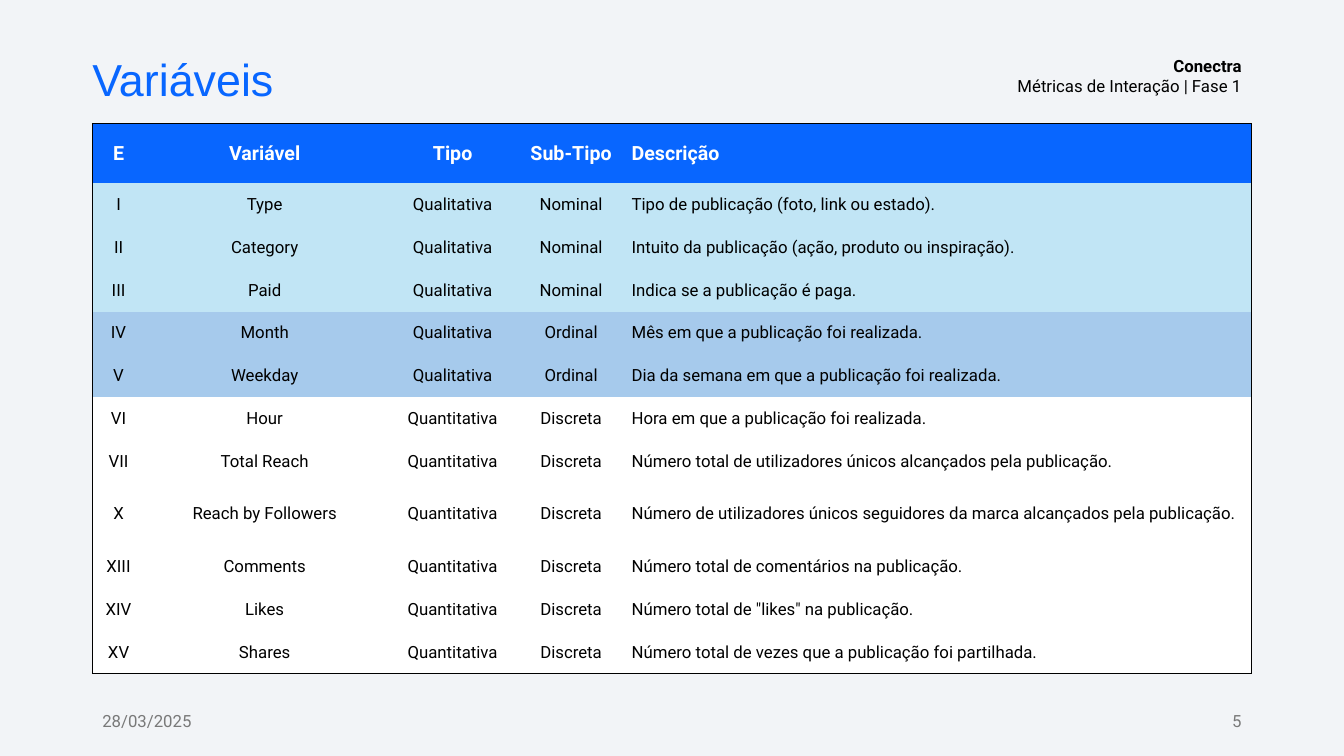
from lxml.etree import SubElement
from pptx import Presentation
from pptx.dml.color import RGBColor
from pptx.enum.text import MSO_ANCHOR as Anchor, PP_ALIGN as Align
from pptx.oxml import parse_xml
from pptx.oxml.ns import nsdecls, qn
from pptx.util import Pt

BLUE, BLACK, WHITE, GREY = "0866FF", "000000", "FFFFFF", "797979"
SKY, STEEL, PAPER = "C1E5F5", "A6CAEC", "F2F4F7"
LEFT, WIDTH = 66, 828


def color(code):
    return RGBColor.from_string(code)


class Page:
    font = "Roboto"

    def __init__(self, deck):
        self.slide = deck.slides.add_slide(deck.slide_layouts[5])
        self.slide.background.fill.solid()
        self.slide.background.fill.fore_color.rgb = color(PAPER)

    def run(self, para, text, size, ink, bold=False, font=None):
        run = para.add_run()
        run.text = text
        run.font.name = font or self.font
        run.font.size = Pt(size)
        run.font.bold = bold
        run.font.color.rgb = color(ink)

    def title(self, text, box):
        shape = self.slide.shapes.title
        shape.left, shape.top, shape.width, shape.height = map(Pt, box)
        frame = shape.text_frame
        frame.word_wrap = True
        frame.vertical_anchor = Anchor.MIDDLE
        frame.margin_left = frame.margin_right = frame.margin_bottom = 0
        para = frame.paragraphs[0]
        para.alignment = Align.LEFT
        self.run(para, text, 32, BLUE, font="Arial")

    def text(self, lines, box, ink, align=Align.LEFT):
        frame = self.slide.shapes.add_textbox(*map(Pt, box)).text_frame
        frame.word_wrap = True
        frame.vertical_anchor = Anchor.MIDDLE
        for i, (line, bold) in enumerate(lines):
            para = frame.add_paragraph() if i else frame.paragraphs[0]
            para.alignment = align
            self.run(para, line, 12, ink, bold)

    def border(self, cell, sides):
        props = cell._tc.get_or_add_tcPr()
        for i, side in enumerate("LRTB"):
            line = parse_xml(f'<a:ln{side} {nsdecls("a")} w="9525"/>')
            if side in sides:
                fill = SubElement(line, qn("a:solidFill"))
                SubElement(fill, qn("a:srgbClr"), val=BLACK)
            else:
                SubElement(line, qn("a:noFill"))
            props.insert(i, line)

    def cell(self, cell, text, fill, head, last):
        cell.fill.solid()
        cell.fill.fore_color.rgb = color(fill)
        cell.vertical_anchor = Anchor.MIDDLE
        para = cell.text_frame.paragraphs[0]
        if not last:
            cell.margin_left = cell.margin_right = Pt(5)
            cell.margin_top = cell.margin_bottom = 0
            para.alignment = Align.CENTER
            para.space_before = para.space_after = Pt(3)
        size, ink = (14, WHITE) if head else (12, BLACK)
        self.run(para, text, size, ink, head)

    def table(self, rows, fills, wide, high, left, top):
        end, foot = len(wide) - 1, len(high) - 1
        grid = self.slide.shapes.add_table(
            len(high), len(wide), Pt(left), Pt(top),
            Pt(sum(wide)), Pt(sum(high))).table
        for col, size in zip(grid.columns, wide):
            col.width = Pt(size)
        for r, (row, fill) in enumerate(zip(rows, fills)):
            grid.rows[r].height = Pt(high[r])
            for c, text in enumerate(row):
                cell = grid.cell(r, c)
                self.cell(cell, text, fill, r == 0, c == end)
                edges = {"L": c == 0, "R": c == end,
                         "T": r == 0, "B": r == foot}
                self.border(cell, [s for s in edges if edges[s]])


# Table content
HEAD = ("E", "Variável", "Tipo", "Sub-Tipo", "Descrição")
GROUPS = [
    ("Qualitativa", "Nominal", SKY, [
        ("I", "Type", "Tipo de publicação (foto, link ou estado)."),
        ("II", "Category",
         "Intuito da publicação (ação, produto ou inspiração)."),
        ("III", "Paid", "Indica se a publicação é paga."),
    ]),
    ("Qualitativa", "Ordinal", STEEL, [
        ("IV", "Month", "Mês em que a publicação foi realizada."),
        ("V", "Weekday", "Dia da semana em que a publicação foi realizada."),
    ]),
    ("Quantitativa", "Discreta", WHITE, [
        ("VI", "Hour", "Hora em que a publicação foi realizada."),
        ("VII", "Total Reach",
         "Número total de utilizadores únicos alcançados pela publicação."),
        ("X", "Reach by Followers",
         "Número de utilizadores únicos seguidores da marca "
         "alcançados pela publicação."),
        ("XIII", "Comments", "Número total de comentários na publicação."),
        ("XIV", "Likes", 'Número total de "likes" na publicação.'),
        ("XV", "Shares",
         "Número total de vezes que a publicação foi partilhada."),
    ]),
]


def main():
    deck = Presentation()
    deck.slide_width, deck.slide_height = Pt(960), Pt(540)
    page = Page(deck)

    # Header
    page.title("Variáveis", (LEFT, 36, 414, 36))
    page.text([("Conectra", True), ("Métricas de Interação | Fase 1", False)],
              (672, 36, 222, 36), BLACK, Align.RIGHT)

    # Variable table
    rows, fills = [HEAD], [BLUE]
    for kind, sub, fill, items in GROUPS:
        for mark, name, note in items:
            rows.append((mark, name, kind, sub, note))
            fills.append(fill)
    wide = [37.4, 171.4, 97.2, 72]
    wide.append(WIDTH - sum(wide))
    high = [42, 31] + [30.6] * 6 + [44.6] + [30.6] * 3
    page.table(rows, fills, wide, high, LEFT, 88.5)

    # Footer
    page.text([("28/03/2025", False)], (LEFT, 500.5, 216, 29), GREY)
    page.text([("5", False)], (678, 500.5, 216, 29), GREY, Align.RIGHT)

    deck.save("out.pptx")


if __name__ == "__main__":
    main()
